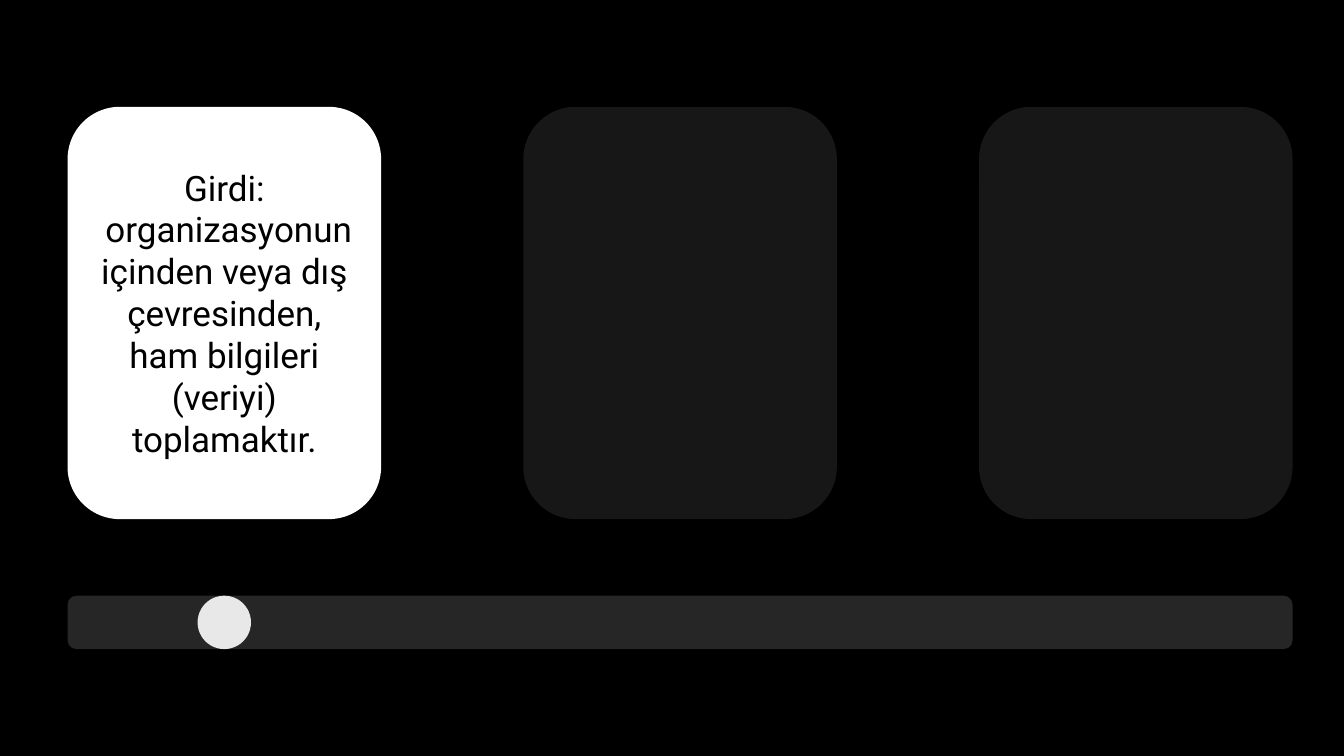
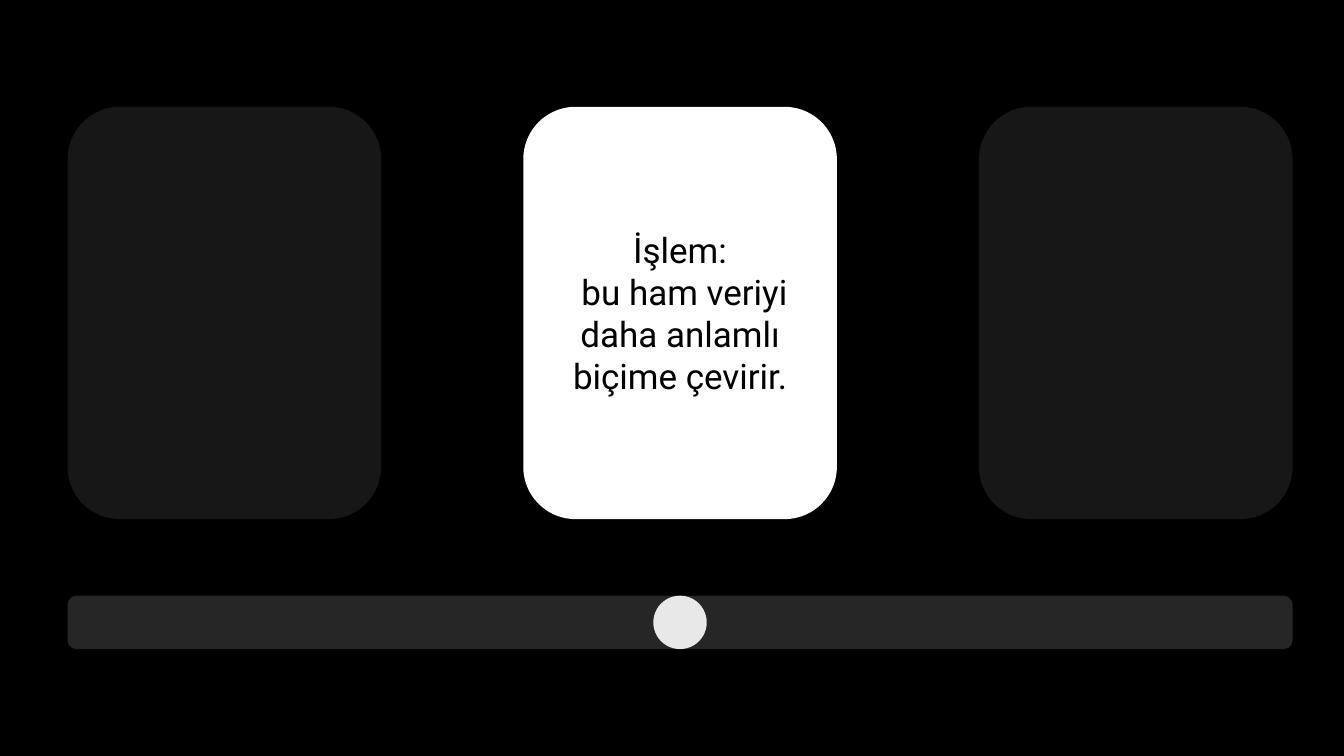
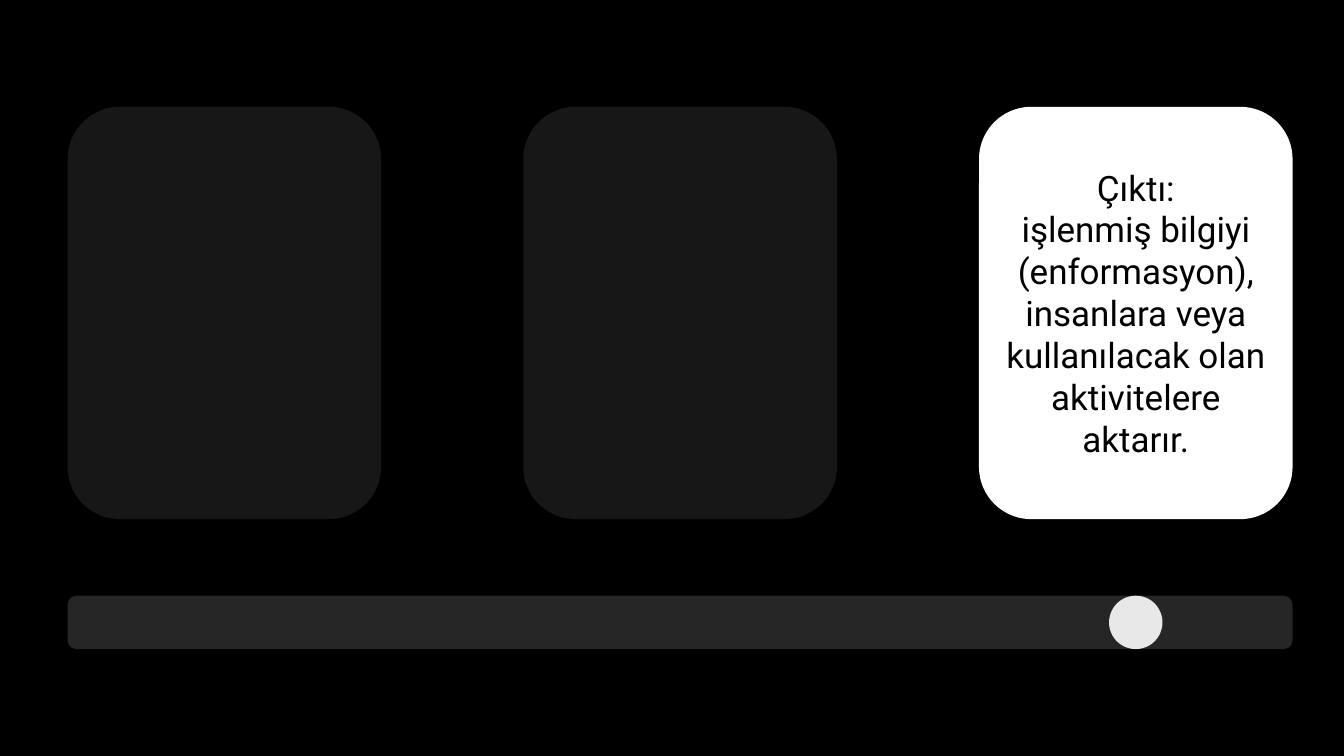
from pptx import Presentation
from pptx.dml.color import RGBColor
from pptx.enum.shapes import MSO_SHAPE
from pptx.enum.text import MSO_ANCHOR, PP_ALIGN
from pptx.util import Inches, Pt

BLACK = RGBColor(0x00, 0x00, 0x00)
WHITE = RGBColor(0xFF, 0xFF, 0xFF)
DIMMED = RGBColor(0x17, 0x17, 0x17)
TRACK = RGBColor(0x26, 0x26, 0x26)
KNOB = RGBColor(0xE8, 0xE8, 0xE8)

STAGES = [
    ("Girdi:", " organizasyonun içinden veya dış çevresinden, ham bilgileri (veriyi) toplamaktır."),
    ("İşlem:", " bu ham veriyi daha anlamlı biçime çevirir."),
    ("Çıktı:", "işlenmiş bilgiyi (enformasyon), insanlara veya kullanılacak olan aktivitelere aktarır."),
]


class StageDeck:
    font_name = "Roboto"
    font_size = Pt(25)
    margin = 0.67
    column_width = 3.11
    column_step = 4.52
    card_top, card_height = 1.06, 4.09
    track_top, track_height = 5.91, 0.53

    def __init__(self):
        self.deck = Presentation()
        self.deck.slide_width = Inches(13.33)
        self.deck.slide_height = Inches(7.5)
        self.page = None

    def add_page(self):
        self.page = self.deck.slides.add_slide(self.deck.slide_layouts[6])
        background = self.page.background.fill
        background.solid()
        background.fore_color.rgb = BLACK

    def column_left(self, column):
        return self.margin + column * self.column_step

    def add_box(self, preset, left, top, width, height, color):
        box = self.page.shapes.add_shape(
            preset, Inches(left), Inches(top), Inches(width), Inches(height))
        box.shadow.inherit = False
        box.fill.solid()
        box.fill.fore_color.rgb = color
        box.line.fill.background()
        return box

    def add_card(self, column, color):
        return self.add_box(
            MSO_SHAPE.ROUNDED_RECTANGLE, self.column_left(column), self.card_top,
            self.column_width, self.card_height, color)

    def add_active_card(self, column, lines):
        frame = self.add_card(column, WHITE).text_frame
        frame.word_wrap = True
        frame.vertical_anchor = MSO_ANCHOR.MIDDLE
        frame.text = "\n".join(lines)
        for para in frame.paragraphs:
            para.alignment = PP_ALIGN.CENTER
            para.font.name = self.font_name
            para.font.size = self.font_size
            para.font.color.rgb = BLACK

    def add_slider(self, columns, active):
        width = (columns - 1) * self.column_step + self.column_width
        self.add_box(MSO_SHAPE.ROUNDED_RECTANGLE, self.margin, self.track_top,
                     width, self.track_height, TRACK)
        knob_left = self.column_left(active) + (self.column_width - self.track_height) / 2
        self.add_box(MSO_SHAPE.OVAL, knob_left, self.track_top,
                     self.track_height, self.track_height, KNOB)


def main():
    slides = StageDeck()
    for active in range(len(STAGES)):
        slides.add_page()
        for column, lines in enumerate(STAGES):
            if column == active:
                slides.add_active_card(column, lines)
            else:
                slides.add_card(column, DIMMED)
        slides.add_slider(len(STAGES), active)
    slides.deck.save("out.pptx")


if __name__ == "__main__":
    main()
